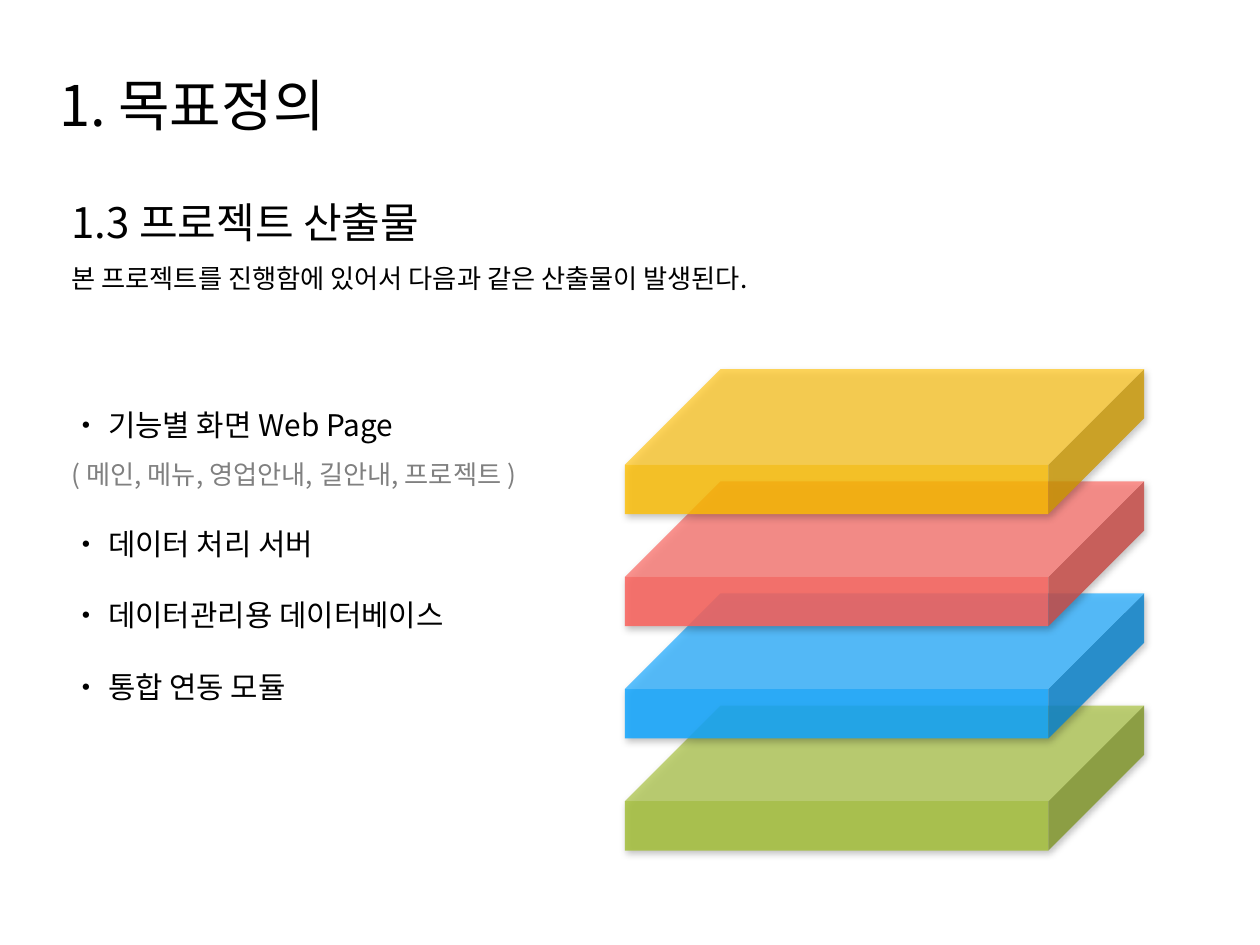
"""Builds the project deliverables slide with its stack of four layers."""
from lxml import etree
from pptx import Presentation
from pptx.dml.color import RGBColor
from pptx.enum.shapes import MSO_SHAPE
from pptx.enum.text import MSO_ANCHOR, MSO_AUTO_SIZE
from pptx.oxml.ns import qn
from pptx.util import Inches, Pt

CUBE = MSO_SHAPE.CUBE
TOP = MSO_ANCHOR.TOP
GROW = MSO_AUTO_SIZE.SHAPE_TO_FIT_TEXT
FIXED = MSO_AUTO_SIZE.NONE

FONT = "Noto Sans CJK KR"
BLACK, GREY = "000000", "808080"

LAYERS = [("A4BF3A", 85), ("11A6FF", 85), ("FB625C", 85), ("FFBF00", 80)]
LAYER_LEFT, LAYER_BOTTOM_TOP, LAYER_STEP = 4.96, 5.6, 0.89
LAYER_WIDTH, LAYER_HEIGHT, LAYER_DEPTH = 4.12, 1.15, 0.66

TITLE = [(1, [("1. 목표정의", 32, BLACK)])]
SECTION = [
    (1.5, [("1.3 프로젝트 산출물", 24, BLACK)]),
    (1.5, [("본 프로젝트를 진행함에 있어서 다음과 같은 산출물이 발생된다.", 15, BLACK)]),
]
DELIVERABLES = [
    (1.5, [("• 기능별 화면 Web Page", 17, BLACK),
           ("( 메인, 메뉴, 영업안내, 길안내, 프로젝트 )", 15, GREY)]),
    (2, [("• 데이터 처리 서버", 17, BLACK)]),
    (2, [("• 데이터관리용 데이터베이스", 17, BLACK)]),
    (2, [("• 통합 연동 모듈", 17, BLACK)]),
]


def colour(value):
    return RGBColor.from_string(value)


class SlideBuilder:
    def __init__(self, slide, font):
        self.slide = slide
        self.font = font

    def text(self, left, top, width, height, paragraphs, side=0.1, wrap=True, size=GROW):
        box = self.slide.shapes.add_textbox(
            Inches(left), Inches(top), Inches(width), Inches(height))
        frame = box.text_frame
        frame.word_wrap = wrap
        frame.auto_size = size
        frame.vertical_anchor = TOP
        frame.margin_left = frame.margin_right = Inches(side)
        frame.text = "\n".join(
            "\v".join(line for line, _, _ in lines) for _, lines in paragraphs)
        for para, (spacing, lines) in zip(frame.paragraphs, paragraphs):
            para.line_spacing = spacing
            for span, (_, points, value) in zip(para.runs, lines):
                span.font.size = Pt(points)
                span.font.name = self.font
                span.font.color.rgb = colour(value)
                etree.SubElement(span.font._element, qn("a:ea"), typeface=self.font)

    def stack(self, layers):
        group = self.slide.shapes.add_group_shape()
        for index, (value, opacity) in enumerate(layers):
            self.layer(group, LAYER_BOTTOM_TOP - index * LAYER_STEP, value, opacity)

    def layer(self, group, top, value, opacity):
        cube = group.shapes.add_shape(
            CUBE, Inches(LAYER_LEFT), Inches(top), Inches(LAYER_WIDTH), Inches(LAYER_HEIGHT))
        cube.adjustments[0] = LAYER_DEPTH
        cube.fill.solid()
        cube.fill.fore_color.rgb = colour(value)
        cube.line.fill.background()
        cube.shadow.inherit = False
        properties = cube._element.spPr
        fill = properties.find(qn("a:solidFill")).find(qn("a:srgbClr"))
        etree.SubElement(fill, qn("a:alpha"), val=str(opacity * 1000))
        shadow = etree.SubElement(
            properties.find(qn("a:effectLst")), qn("a:outerShdw"),
            blurRad=str(Pt(4)), dist=str(Pt(2)), dir=str(70 * 60000), rotWithShape="0")
        shade = etree.SubElement(shadow, qn("a:srgbClr"), val=BLACK)
        etree.SubElement(shade, qn("a:alpha"), val="28000")


def main():
    deck = Presentation()
    deck.slide_width, deck.slide_height = Inches(10), Inches(7.5)
    page = SlideBuilder(deck.slides.add_slide(deck.slide_layouts[6]), FONT)
    page.stack(LAYERS)
    page.text(0.47, 0.51, 7.73, 0.66, TITLE, side=0, size=FIXED)
    page.text(0.47, 3.04, 4.34, 3.2, DELIVERABLES)
    page.text(0.47, 1.31, 6.23, 1.04, SECTION, wrap=False)
    deck.save("out.pptx")


if __name__ == "__main__":
    main()
